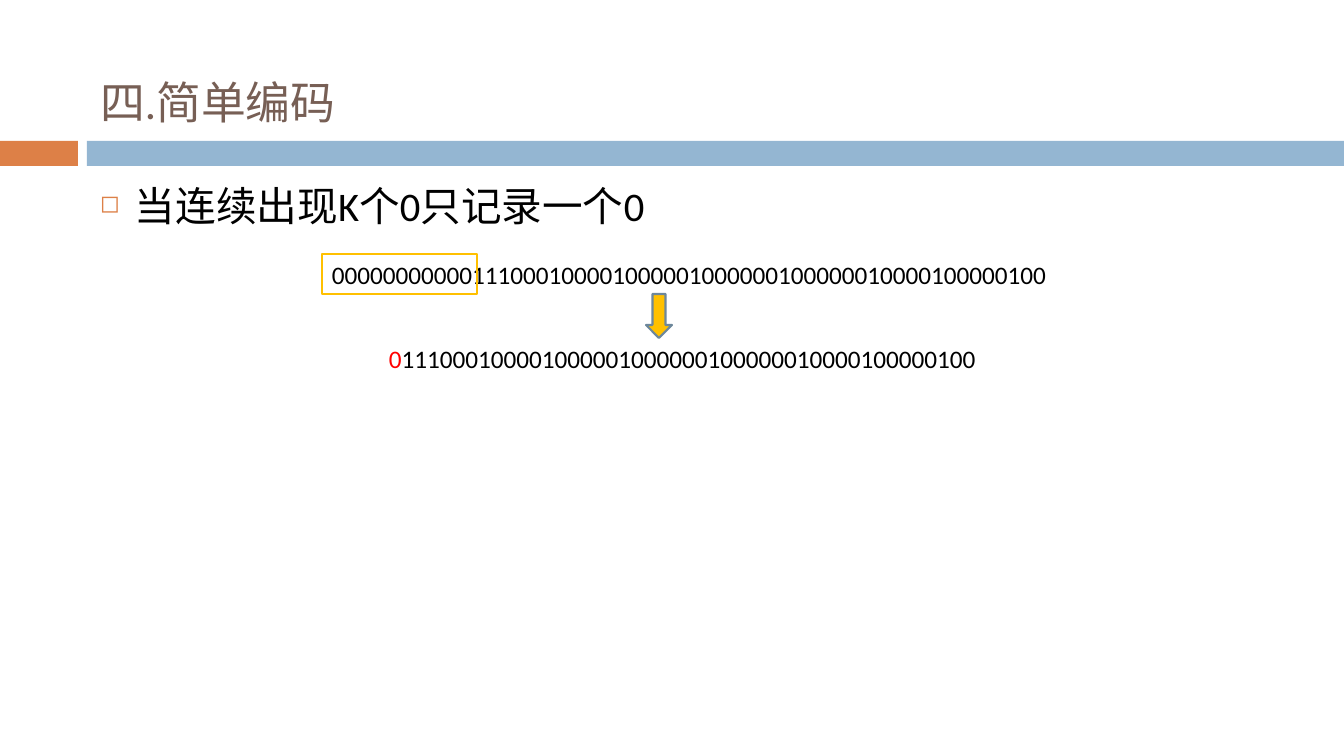
from lxml.etree import SubElement
from pptx import Presentation
from pptx.dml.color import RGBColor
from pptx.enum.shapes import MSO_SHAPE
from pptx.enum.text import MSO_ANCHOR, MSO_AUTO_SIZE, PP_ALIGN
from pptx.oxml.ns import qn
from pptx.util import Pt

SCALE = 914400 / 100.8
FONT = "Calibri"
ORANGE, BLUE, BROWN, GOLD = "DD8047", "94B6D2", "775F55", "FFC000"
BLACK, RED = "000000", "FF0000"
TAIL = "111000100001000001000000100000010000100000100"


def emu(*pixels):
    """Turn pixels into EMU."""
    return [round(n * SCALE) for n in pixels]


def color(value):
    """Turn a hex string into a colour."""
    return RGBColor.from_string(value)


def add_box(s, kind, box, fill=None, line=None):
    """Add a preset shape with an optional fill and outline."""
    sp = s.shapes.add_shape(kind, *emu(*box))
    sp.shadow.inherit = False
    if fill:
        sp.fill.solid()
        sp.fill.fore_color.rgb = color(fill)
    else:
        sp.fill.background()
    if line:
        sp.line.color.rgb = color(line)
        sp.line.width = Pt(1.5)
    else:
        sp.line.fill.background()
    return sp


def style(r, size, value):
    """Set the font of a run."""
    r.font.name = FONT
    r.font.size = Pt(size)
    r.font.color.rgb = color(value)


def add_text(s, box, parts, size, wrap=True):
    """Add a text box with one paragraph of coloured parts."""
    tf = s.shapes.add_textbox(*emu(*box)).text_frame
    tf.word_wrap = wrap
    p = tf.paragraphs[0]
    for text, value in parts:
        r = p.add_run()
        r.text = text
        style(r, size, value)
    return p


def add_bullet(p, indent, char, value, percent):
    """Give a paragraph a hanging coloured bullet."""
    pPr = p._p.get_or_add_pPr()
    pPr.set("marL", str(indent))
    pPr.set("indent", str(-indent))
    clr = SubElement(pPr, qn("a:buClr"))
    SubElement(clr, qn("a:srgbClr"), val=value)
    SubElement(pPr, qn("a:buSzPct"), val=str(percent * 1000))
    SubElement(pPr, qn("a:buChar"), char=char)


def add_band(s, x, y, w, h):
    """Place the two-coloured band below the title."""
    stub, gap = 78, 9
    add_box(s, MSO_SHAPE.RECTANGLE, (x, y, stub, h), ORANGE)
    start = stub + gap
    add_box(s, MSO_SHAPE.RECTANGLE, (x + start, y, w - start, h), BLUE)


def add_title(s, x, y, w, h):
    """Place and format the title."""
    sp = s.shapes.title
    sp.left, sp.top, sp.width, sp.height = emu(x, y, w, h)
    tf = sp.text_frame
    tf.text = "四.简单编码"
    tf.auto_size = MSO_AUTO_SIZE.NONE
    tf.vertical_anchor = MSO_ANCHOR.BOTTOM
    p = tf.paragraphs[0]
    p.alignment = PP_ALIGN.LEFT
    style(p.runs[0], 32, BROWN)


def add_body(s, x, y, w, h):
    """Place the bulleted statement."""
    p = add_text(s, (x, y, w, h), [("当连续出现K个0只记录一个0", BLACK)], 29)
    p.space_before = Pt(7)
    add_bullet(p, emu(35)[0], "◻", ORANGE, 60)


def add_encoding(s, x, y, w, h):
    """Place the bit string, its marked zeros, the arrow and the result."""
    row = 40
    add_text(s, (x, y, w, row), [("0" * 11 + TAIL, BLACK)], 18, False)
    add_box(s, MSO_SHAPE.RECTANGLE, (x, y, 155, row), line=GOLD)
    result = (x + 57, y + h - row, w - 115, row)
    add_text(s, result, [("0", RED), (TAIL, BLACK)], 18, False)
    arrow = (x + 324, y + row, 26, h - 2 * row)
    add_box(s, MSO_SHAPE.DOWN_ARROW, arrow, GOLD, "6D879B")


prs = Presentation()
prs.slide_width, prs.slide_height = emu(1344, 756)
s = prs.slides.add_slide(prs.slide_layouts[5])
add_band(s, 0, 141, 1344, 25)
add_title(s, 90, 25, 1199, 109)
add_body(s, 90, 176, 1199, 511)
add_encoding(s, 322, 254, 736, 124)
prs.save("out.pptx")
